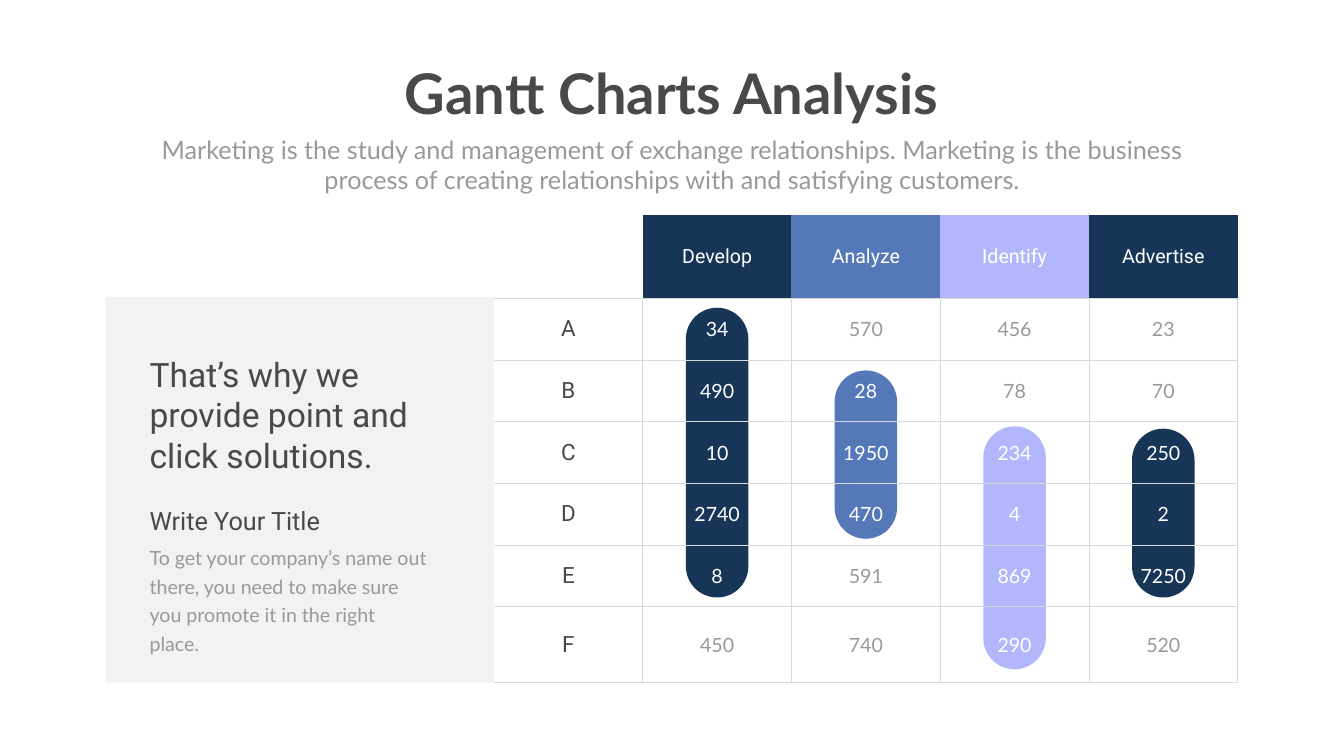
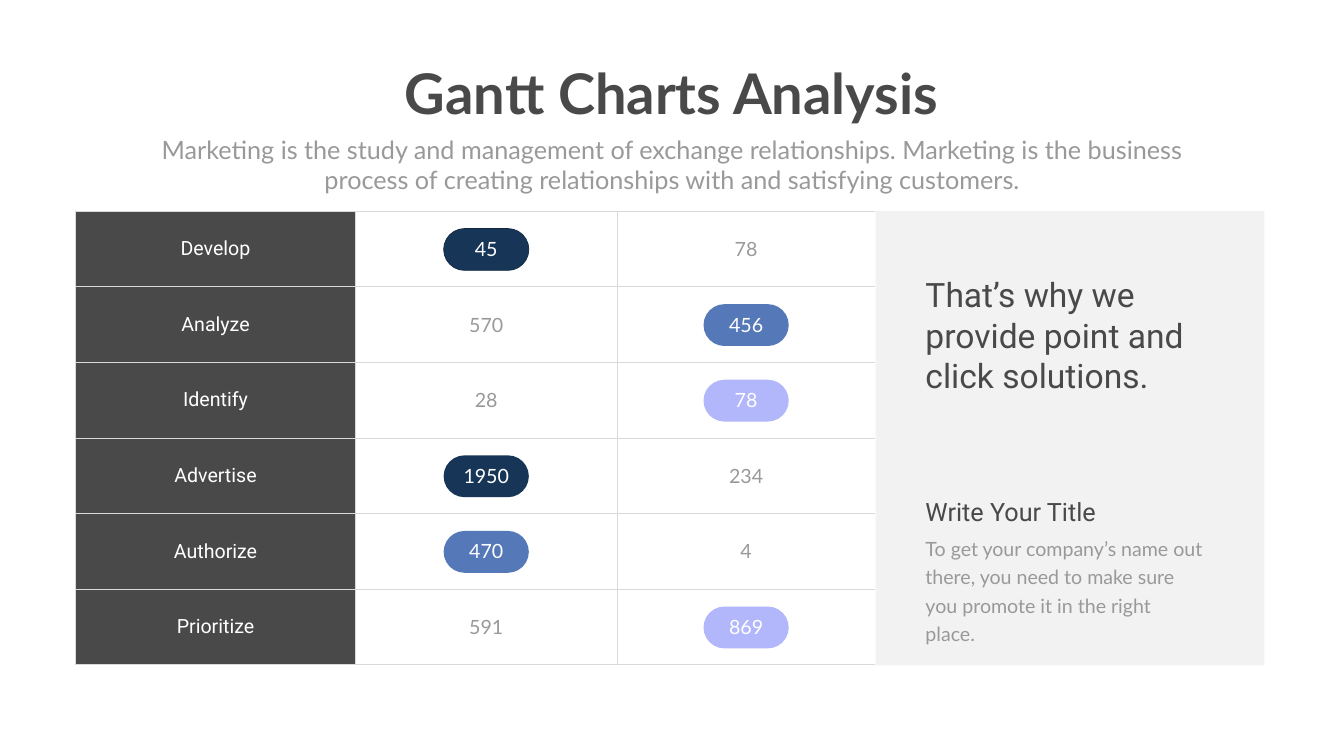
from dataclasses import dataclass
from itertools import accumulate

from lxml import etree
from pptx import Presentation
from pptx.dml.color import RGBColor
from pptx.enum import shapes, text
from pptx.oxml import ns
from pptx import util as u

COLOURS = {
    "navy": "173657",
    "blue": "5578B8",
    "lilac": "B2B7FC",
    "ink": "494949",
    "grey": "999999",
    "rule": "D9D9D9",
    "panel": "808080",
    "outline": "112840",
    "white": "FFFFFF",
}
HEADING_FONT, BODY_FONT = "Roboto", "Lato"
PLAIN_STYLE = "{2D5ABB26-0587-4C30-8999-92F81FD0307C}"

TITLE = "Gantt Charts Analysis"
SUBTITLE = (
    "Marketing is the study and management of exchange relationships. "
    "Marketing is the business process of creating relationships with "
    "and satisfying customers."
)
CLAIM = "That’s why we provide point and click solutions."
NOTE_TITLE = "Write Your Title"
NOTE = (
    "To get your company’s name out there, you need to make sure "
    "you promote it in the right place."
)


@dataclass(frozen=True)
class Box:
    left: float
    top: float
    width: float
    height: float

    def lengths(self) -> list:
        return [u.Inches(n) for n in (self.left, self.top, self.width, self.height)]


@dataclass(frozen=True)
class Style:
    size: float
    font: str
    colour: str
    bold: bool = False


@dataclass(frozen=True)
class Pill:
    column: int
    first_row: int
    last_row: int
    colour: str
    middle: float = 0
    length: float = 0
    outline: str = ""

    def covers(self, row: int, column: int) -> bool:
        return column == self.column and self.first_row <= row <= self.last_row


@dataclass(frozen=True)
class Grid:
    left: float
    top: float
    columns: list
    rows: list

    def column_middle(self, column: int) -> float:
        return self.left + sum(self.columns[:column]) + self.columns[column] / 2

    def row_middle(self, row: int) -> float:
        return self.top + list(accumulate(self.rows))[row] - self.rows[row] / 2

    def box(self) -> Box:
        return Box(self.left, self.top, sum(self.columns), sum(self.rows))


@dataclass(frozen=True)
class Cell:
    words: str
    style: Style
    fill: str = ""
    sides: str = "LRTB"


def rgb(colour: str) -> RGBColor:
    return RGBColor.from_string(COLOURS[colour])


def write(paragraph, words: str, style: Style, align) -> None:
    paragraph.alignment = align
    run = paragraph.add_run()
    run.text = words
    run.font.size = u.Pt(style.size)
    run.font.name = style.font
    run.font.bold = style.bold
    run.font.color.rgb = rgb(style.colour)


def add_text(group, box: Box, words: str, style: Style, align=text.PP_ALIGN.LEFT,
             wrap: bool = True, spacing: float = 0) -> None:
    frame = group.shapes.add_textbox(*box.lengths()).text_frame
    frame.word_wrap = wrap
    frame.auto_size = text.MSO_AUTO_SIZE.SHAPE_TO_FIT_TEXT
    paragraph = frame.paragraphs[0]
    if spacing:
        paragraph.line_spacing = u.Pt(spacing)
    write(paragraph, words, style, align)


def add_filled(parent, kind, box: Box, colour: str, outline: str = ""):
    shape = parent.shapes.add_shape(kind, *box.lengths())
    shape.shadow.inherit = False
    shape.fill.solid()
    shape.fill.fore_color.rgb = rgb(colour)
    if outline:
        shape.line.color.rgb = rgb(outline)
        shape.line.width = u.Pt(1)
    else:
        shape.line.fill.background()
    return shape


def add_heading(slide) -> None:
    heading = slide.shapes.add_group_shape()
    centre = text.PP_ALIGN.CENTER
    add_text(heading, Box(7.77, 1.12, 11.11, 1.45), TITLE,
             Style(80, BODY_FONT, "ink", True), centre, wrap=False)
    add_text(heading, Box(2.92, 2.61, 20.82, 1.31), SUBTITLE,
             Style(36, BODY_FONT, "grey"), centre)


def add_panel(slide, box: Box, indent: float, claim_top: float, note_top: float) -> None:
    panel = slide.shapes.add_group_shape()
    backdrop = add_filled(panel, shapes.MSO_SHAPE.RECTANGLE, box, "panel")
    tint = next(backdrop.element.iter(ns.qn("a:srgbClr")))
    etree.SubElement(tint, ns.qn("a:alpha"), val="10000")
    left = box.left + indent
    add_text(panel, Box(left, note_top + 0.71, 5.73, 1.77), NOTE,
             Style(28, BODY_FONT, "grey"), spacing=40.8)
    add_text(panel, Box(left, note_top, 5.73, 0.71), NOTE_TITLE,
             Style(36, HEADING_FONT, "ink"))
    add_text(panel, Box(left, claim_top, 6.14, 2.52), CLAIM,
             Style(48, HEADING_FONT, "ink"))


def add_pill(slide, middle_x: float, middle_y: float, length: float,
             thickness: float, pill: Pill, rotation: int = 0) -> None:
    box = Box(middle_x - length / 2, middle_y - thickness / 2, length, thickness)
    shape = add_filled(slide, shapes.MSO_SHAPE.ROUNDED_RECTANGLE, box,
                       pill.colour, pill.outline)
    shape.adjustments[0] = 0.5
    shape.rotation = rotation


def add_borders(cell, sides: str) -> None:
    properties = cell._tc.get_or_add_tcPr()
    for side in "LRTB":
        line = etree.SubElement(properties, ns.qn(f"a:ln{side}"), w=str(u.Pt(1)))
        if side in sides:
            fill = etree.SubElement(line, ns.qn("a:solidFill"))
            etree.SubElement(fill, ns.qn("a:srgbClr"), val=COLOURS["rule"])
        else:
            etree.SubElement(line, ns.qn("a:noFill"))


def add_grid(slide, grid: Grid, content: list) -> None:
    table = slide.shapes.add_table(
        len(grid.rows), len(grid.columns), *grid.box().lengths()).table
    table.first_row = table.horz_banding = False
    next(table._tbl.iter(ns.qn("a:tableStyleId"))).text = PLAIN_STYLE
    for column, width in zip(table.columns, grid.columns):
        column.width = u.Inches(width)
    for r, (height, entries) in enumerate(zip(grid.rows, content)):
        table.rows[r].height = u.Inches(height)
        for c, entry in enumerate(entries):
            cell = table.cell(r, c)
            add_borders(cell, entry.sides)
            cell.vertical_anchor = text.MSO_ANCHOR.MIDDLE
            if entry.fill:
                cell.fill.solid()
                cell.fill.fore_color.rgb = rgb(entry.fill)
            else:
                cell.fill.background()
            if entry.words:
                write(cell.text_frame.paragraphs[0], entry.words, entry.style,
                      text.PP_ALIGN.CENTER)


def value_style(pills: list, row: int, column: int) -> Style:
    covered = any(pill.covers(row, column) for pill in pills)
    return Style(28, BODY_FONT, "white" if covered else "grey")


def build_timeline(slide) -> None:
    grid = Grid(9.8, 4.26, [2.95] * 5, [1.66] + [6.12 / 5] * 5 + [1.5])
    phases = [("", "white"), ("Develop", "navy"), ("Analyze", "blue"),
              ("Identify", "lilac"), ("Advertise", "navy")]
    values = [
        ("A", "34", "570", "456", "23"),
        ("B", "490", "28", "78", "70"),
        ("C", "10", "1950", "234", "250"),
        ("D", "2740", "470", "4", "2"),
        ("E", "8", "591", "869", "7250"),
        ("F", "450", "740", "290", "520"),
    ]
    pills = [
        Pill(4, 3, 5, "navy", 10.18, 3.35),
        Pill(3, 3, 6, "lilac", 10.87, 4.82),
        Pill(2, 2, 4, "blue", 9.02, 3.34),
        Pill(1, 1, 5, "navy", 8.98, 5.75),
    ]
    for pill in pills:
        add_pill(slide, grid.column_middle(pill.column), pill.middle,
                 pill.length, 1.24, pill, rotation=90)
    header = Style(28, HEADING_FONT, "white")
    label = Style(32, HEADING_FONT, "ink")
    content = [[Cell(name, header, fill, "B") for name, fill in phases]]
    for r, (letter, *numbers) in enumerate(values, 1):
        content.append([Cell(letter, label, sides="RTB")] + [
            Cell(number, value_style(pills, r, c)) for c, number in enumerate(numbers, 1)])
    add_grid(slide, grid, content)
    add_panel(slide, Box(2.09, 5.89, 7.71, 7.65), 0.78, 6.97, 9.98)
    add_heading(slide)


def build_comparison(slide) -> None:
    grid = Grid(1.5, 4.19, [5.55, 5.19, 5.12], [1.5] * 6)
    values = [
        ("Develop", "45", "78"),
        ("Analyze", "570", "456"),
        ("Identify", "28", "78"),
        ("Advertise", "1950", "234"),
        ("Authorize", "470", "4"),
        ("Prioritize", "591", "869"),
    ]
    pills = [
        Pill(2, 5, 5, "lilac"),
        Pill(1, 4, 4, "blue"),
        Pill(1, 3, 3, "navy"),
        Pill(2, 2, 2, "lilac"),
        Pill(2, 1, 1, "blue"),
        Pill(1, 0, 0, "navy", outline="outline"),
    ]
    for pill in pills:
        add_pill(slide, grid.column_middle(pill.column),
                 grid.row_middle(pill.first_row) + 0.01, 1.69, 0.83, pill)
    label = Style(28, HEADING_FONT, "white")
    content = [
        [Cell(phase, label, "ink"),
         Cell(before, value_style(pills, r, 1)),
         Cell(after, value_style(pills, r, 2), sides="LTB")]
        for r, (phase, before, after) in enumerate(values)
    ]
    add_grid(slide, grid, content)
    add_panel(slide, Box(17.37, 4.19, 7.71, 9.01), 0.89, 5.39, 9.79)
    add_heading(slide)


def main() -> None:
    deck = Presentation()
    deck.slide_width, deck.slide_height = u.Inches(26.66), u.Inches(15)
    for build in (build_timeline, build_comparison):
        build(deck.slides.add_slide(deck.slide_layouts[6]))
    deck.save("out.pptx")


if __name__ == "__main__":
    main()
